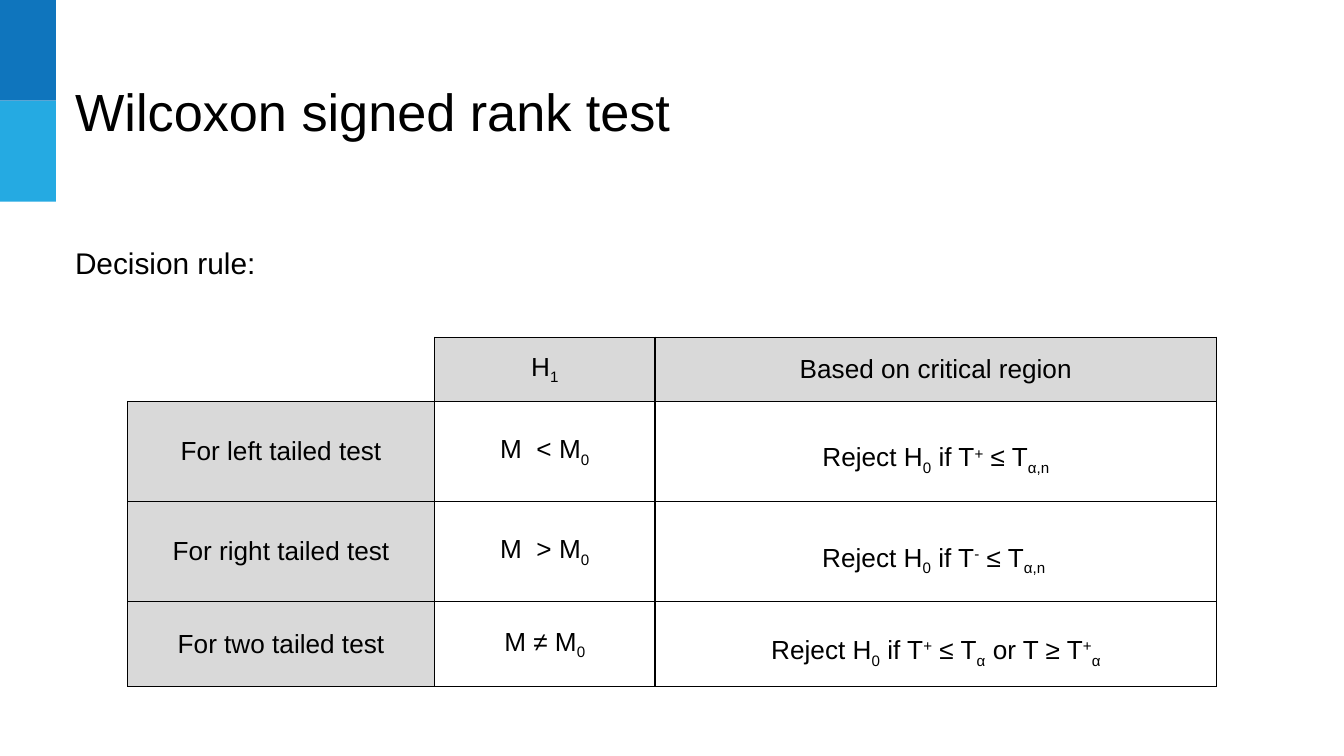
from dataclasses import dataclass

from lxml.etree import SubElement
from pptx import Presentation
from pptx.dml.color import RGBColor
from pptx.enum.shapes import MSO_SHAPE
from pptx.enum.text import MSO_ANCHOR, MSO_AUTO_SIZE, PP_ALIGN
from pptx.oxml.ns import qn
from pptx.util import Inches, Pt

SLIDE_WIDTH = Inches(10)
SLIDE_HEIGHT = SLIDE_WIDTH * 9 // 16
FONT = "Arial"
BLACK, GREY = "000000", "D9D9D9"
CELL_SIZE = 14
INSET = Inches(0.1)
MARGINS = {f"margin_{side}": INSET for side in ("left", "right", "top", "bottom")}
BORDER = Pt(0.75)
BASELINES = {"_": "-25000", "^": "30000"}


@dataclass(frozen=True)
class Area:
    """Place and size in percent of the slide's width and height."""
    left: float
    top: float
    width: float
    height: float

    def lengths(self) -> tuple[int, int, int, int]:
        return (across(self.left), down(self.top),
                across(self.width), down(self.height))


@dataclass(frozen=True)
class Band:
    area: Area
    color: str


BAND_WIDTH, BAND_HEIGHT = 4.17, 13.33
BANDS = [Band(Area(0, row * BAND_HEIGHT, BAND_WIDTH, BAND_HEIGHT), color)
         for row, color in enumerate(("0F75BD", "25AAE2"))]
TITLE_AREA = Area(4.6, 8.71, 73.7, 11.2)
LEAD_AREA = Area(4.6, 30.6, 26.2, 8.89)
COLUMNS = (22.84, 16.4, 41.8)
ROWS = (8.5, 13.25, 13.25, 11.2)
RULES_AREA = Area(9.5, 44.62, sum(COLUMNS), sum(ROWS))

# "|" parts the runs; a leading "_" lowers a run and "^" raises it.
RULES = [
    ("", "H|_1", "Based on critical region"),
    ("For left tailed test", "M  < M|_0", "Reject H|_0| if T|^+| ≤ T|_α,n"),
    ("For right tailed test", "M  > M|_0", "Reject H|_0| if T|^-| ≤ T|_α,n "),
    ("For two tailed test", "M ≠ M|_0",
     "Reject H|_0| if T|^+| ≤ T|_α| or T ≥ T|^+|_α"),
]


def across(percent: float) -> int:
    return round(SLIDE_WIDTH * percent / 100)


def down(percent: float) -> int:
    return round(SLIDE_HEIGHT * percent / 100)


def rgb(color: str) -> RGBColor:
    return RGBColor.from_string(color)


def apply(target, formats: dict) -> None:
    for name, value in formats.items():
        setattr(target, name, value)


def write_runs(paragraph, markup: str, size: int) -> None:
    for part in markup.split("|"):
        run = paragraph.add_run()
        run.text = part.lstrip("_^")
        apply(run.font, {"name": FONT, "size": Pt(size), "bold": False})
        run.font.color.rgb = rgb(BLACK)
        if part[:1] in BASELINES:
            run.font._element.set("baseline", BASELINES[part[0]])


def write_block(shape, area: Area, text: str, size: int, space_after: int = 0) -> None:
    """Place a text shape and fill it with one left-aligned line."""
    apply(shape, dict(zip(("left", "top", "width", "height"), area.lengths())))
    frame = shape.text_frame
    apply(frame, {"word_wrap": True, "auto_size": MSO_AUTO_SIZE.NONE,
                  "vertical_anchor": MSO_ANCHOR.TOP, **MARGINS})
    paragraph = frame.paragraphs[0]
    apply(paragraph, {"alignment": PP_ALIGN.LEFT, "space_after": Pt(space_after)})
    write_runs(paragraph, text, size)


def draw_band(slide, band: Band) -> None:
    shape = slide.shapes.add_shape(MSO_SHAPE.RECTANGLE, *band.area.lengths())
    shape.shadow.inherit = False
    shape.fill.solid()
    shape.fill.fore_color.rgb = rgb(band.color)
    shape.line.fill.background()


def set_borders(cell, visible: str) -> None:
    """Draw the sides named in visible (L, R, T, B) and clear the others."""
    properties = cell._tc.get_or_add_tcPr()
    for position, side in enumerate("LRTB"):
        line = properties.makeelement(qn(f"a:ln{side}"), {"w": str(BORDER)})
        properties.insert(position, line)
        if side in visible:
            fill = SubElement(line, qn("a:solidFill"))
            SubElement(fill, qn("a:srgbClr"), val=BLACK)
        else:
            SubElement(line, qn("a:noFill"))


def draw_rules(slide) -> None:
    frame = slide.shapes.add_table(len(ROWS), len(COLUMNS), *RULES_AREA.lengths())
    table = frame.table
    apply(table, {"first_row": False, "horz_banding": False})
    for column, width in zip(table.columns, COLUMNS):
        column.width = across(width)
    for row, height in zip(table.rows, ROWS):
        row.height = down(height)
    for r, texts in enumerate(RULES):
        for c, markup in enumerate(texts):
            cell = table.cell(r, c)
            apply(cell, {"vertical_anchor": MSO_ANCHOR.MIDDLE, **MARGINS})
            is_corner = r == 0 and c == 0
            is_heading = (r == 0 or c == 0) and not is_corner
            if is_heading:
                cell.fill.solid()
                cell.fill.fore_color.rgb = rgb(GREY)
            else:
                cell.fill.background()
            set_borders(cell, "RB" if is_corner else "LRTB")
            paragraph = cell.text_frame.paragraphs[0]
            if is_corner:
                # An empty cell takes its least height from this size.
                SubElement(paragraph._p, qn("a:endParaRPr"), sz=str(CELL_SIZE * 100))
                continue
            is_decision = r > 0 and c == len(COLUMNS) - 1
            apply(paragraph, {"alignment": PP_ALIGN.CENTER,
                              "line_spacing": 1.5 if is_decision else 1.0})
            write_runs(paragraph, markup, CELL_SIZE)


def main() -> None:
    presentation = Presentation()
    apply(presentation, {"slide_width": SLIDE_WIDTH, "slide_height": SLIDE_HEIGHT})
    slide = presentation.slides.add_slide(presentation.slide_layouts[5])
    for band in BANDS:
        draw_band(slide, band)
    lead = slide.shapes.add_textbox(*LEAD_AREA.lengths())
    write_block(lead, LEAD_AREA, "Decision rule:", 16, space_after=30)
    write_block(slide.shapes.title, TITLE_AREA, "Wilcoxon signed rank test", 28)
    draw_rules(slide)
    presentation.save("out.pptx")


if __name__ == "__main__":
    main()
